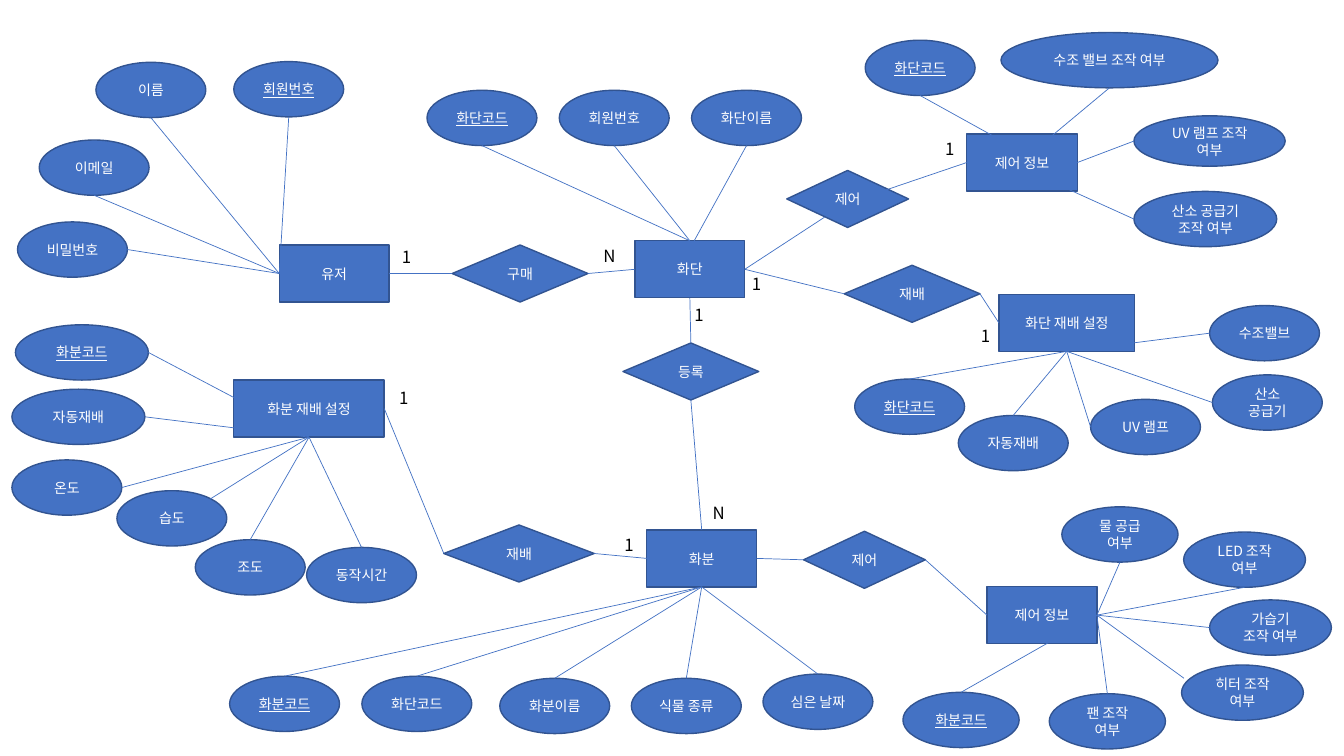
from dataclasses import dataclass

from lxml import etree
from pptx import Presentation
from pptx.dml.color import RGBColor
from pptx.enum import shapes, text
from pptx.oxml import ns
from pptx.util import Pt

COLORS = {"fill": "4472C4", "border": "325491", "label": "FFFFFF", "count": "000000"}
FONT = "Noto Sans CJK KR"
TOP, LEFT, BOTTOM, RIGHT = range(4)
SIDE_POINTS = {TOP: (0.5, 0), LEFT: (0, 0.5), BOTTOM: (0.5, 1), RIGHT: (1, 0.5)}
ENTITY_HEIGHT = 40.75


@dataclass
class Attribute:
    """An oval offset from its entity; ends are sides or fractions of width and height."""
    label: str
    dx: float
    dy: float
    oval_end: object
    entity_end: object
    width: float = 78.5
    height: float = 39.5
    is_key: bool = False


# name: (label, left, top, width, attributes)
ENTITIES = {
    "user": ("유저", 199.5, 175, 78.5, [
        Attribute("이메일", -171.5, -75, BOTTOM, LEFT),
        Attribute("이름", -131, -130.5, BOTTOM, LEFT),
        Attribute("비밀번호", -187, -16.5, RIGHT, LEFT),
        Attribute("회원번호", -32.5, -131, BOTTOM, LEFT, is_key=True),
    ]),
    "bed": ("화단", 453.5, 172, 78.5, [
        Attribute("화단코드", -148.5, -107.5, BOTTOM, TOP, is_key=True),
        Attribute("회원번호", -54, -107.5, BOTTOM, TOP),
        Attribute("화단이름", 40.5, -107.5, BOTTOM, (0.54, 0)),
    ]),
    "pot": ("화분", 462, 378.5, 78.5, [
        Attribute("화분코드", -298, 104.5, TOP, BOTTOM, is_key=True),
        Attribute("화단코드", -203.5, 104.5, TOP, BOTTOM),
        Attribute("화분이름", -105, 106, TOP, BOTTOM),
        Attribute("식물 종류", -11, 106, TOP, BOTTOM),
        Attribute("심은 날짜", 83, 103, TOP, BOTTOM),
    ]),
    "pot_growing": ("화분 재배 설정", 167, 271.5, 107.5, [
        Attribute("동작시간", 52, 119.5, TOP, BOTTOM),
        Attribute("조도", -27.5, 114, TOP, BOTTOM),
        Attribute("습도", -83.5, 79, (0.85, 0.15), BOTTOM),
        Attribute("화분코드", -156, -39.5, RIGHT, BOTTOM, width=95, is_key=True),
        Attribute("온도", -158.5, 57, RIGHT, BOTTOM),
        Attribute("자동재배", -158.5, 6.5, RIGHT, BOTTOM, width=95),
    ]),
    "bed_growing": ("화단 재배 설정", 713.5, 210.25, 97, [
        Attribute("자동재배", -29, 86.5, TOP, BOTTOM),
        Attribute("화단코드", -103, 60.5, TOP, BOTTOM, is_key=True),
        Attribute("수조밸브", 150.5, 8, LEFT, BOTTOM),
        Attribute("산소 공급기", 152.5, 57.5, LEFT, BOTTOM),
        Attribute("UV 램프", 65.5, 75, LEFT, BOTTOM),
    ]),
    "pot_control": ("제어 정보", 705, 419, 78.5, [
        Attribute("LED 조작 여부", 140.5, -39, BOTTOM, RIGHT, width=87),
        Attribute("가습기 조작 여부", 159, 9.5, LEFT, RIGHT, width=87),
        Attribute("히터 조작 여부", 139, 56, (0.02, 0.24), RIGHT, width=87),
        Attribute("팬 조작 여부", 44.5, 76.5, TOP, RIGHT, width=83),
        Attribute("화분코드", -60, 75.5, TOP, RIGHT, width=83, is_key=True),
        Attribute("물 공급 여부", 53.5, -57, BOTTOM, RIGHT, width=83),
    ]),
    "bed_control": ("제어 정보", 690.5, 95.75, 79, [
        Attribute("화단코드", -72.5, -67, BOTTOM, (0.31, 0.11), is_key=True),
        Attribute("수조 밸브 조작 여부", 24.5, -72.5, BOTTOM, (0.66, 0.21), width=155),
        Attribute("UV 램프 조작 여부", 119.5, -13, LEFT, RIGHT, width=108, height=36),
        Attribute("산소 공급기 조작 여부", 119.5, 41, LEFT, (0.75, 0.82), width=102),
    ]),
}

# label, left, top, width, links (diamond end, entity, entity end), counts (text, dx, dy)
RELATIONS = [
    ("구매", 323, 175, 97, [(LEFT, "user", RIGHT), (RIGHT, "bed", LEFT)],
     [("1", -43, -2), ("N", 101, -3)]),
    ("등록", 445, 245, 97, [(TOP, "bed", BOTTOM), (BOTTOM, "pot", TOP)],
     [("1", 44, -31), ("N", 57, 110.5)]),
    ("재배", 317, 375, 107.5, [(RIGHT, "pot", LEFT), (LEFT, "pot_growing", RIGHT)],
     [("1", 122, 3.5), ("1", -39, -101.5)]),
    ("재배", 603, 189.5, 97, [(LEFT, "bed", RIGHT), (RIGHT, "bed_growing", LEFT)],
     [("1", -73, 2.5), ("1", 90.5, 40)]),
    ("제어", 574, 379.5, 87, [(LEFT, "pot", RIGHT), (RIGHT, "pot_control", LEFT)], []),
    ("제어", 562, 121.75, 87,
     [((0.31, 0.82), "bed", RIGHT), ((0.79, 0.36), "bed_control", LEFT)],
     [("1", 106, -26)]),
]


def write_text(shape, words, size, color, underline=None):
    run = shape.text_frame.paragraphs[0].add_run()
    run.text = words
    formats = {"name": FONT, "size": Pt(size), "underline": underline}
    for name, value in formats.items():
        setattr(run.font, name, value)
    run.font.color.rgb = RGBColor.from_string(COLORS[color])
    east_asian = etree.SubElement(run.font._element, ns.qn("a:ea"))
    east_asian.set("typeface", FONT)


def add_node(slide, kind, box, label, underline=None):
    shape = slide.shapes.add_shape(kind, *map(Pt, box))
    shape.shadow.inherit = False
    shape.fill.solid()
    shape.fill.fore_color.rgb = RGBColor.from_string(COLORS["fill"])
    shape.line.color.rgb = RGBColor.from_string(COLORS["border"])
    shape.line.width = Pt(1)
    frame = shape.text_frame
    frame.word_wrap = True
    frame.vertical_anchor = text.MSO_ANCHOR.MIDDLE
    frame.paragraphs[0].alignment = text.PP_ALIGN.CENTER
    write_text(shape, label, 10, "label", underline)
    return shape


def end_point(shape, end):
    x, y = SIDE_POINTS[end] if isinstance(end, int) else end
    return int(shape.left + x * shape.width), int(shape.top + y * shape.height)


def link(slide, start, start_end, entity, entity_end):
    """Draw a line to an entity, joined wherever it meets the middle of a side."""
    line = slide.shapes.add_connector(
        shapes.MSO_CONNECTOR.STRAIGHT,
        *end_point(start, start_end), *end_point(entity, entity_end))
    line.line.color.rgb = RGBColor.from_string(COLORS["fill"])
    line.line.width = Pt(0.5)
    etree.SubElement(line._element.spPr, ns.qn("a:effectLst"))
    is_oval = start.auto_shape_type == shapes.MSO_SHAPE.OVAL
    if isinstance(start_end, int) and not is_oval:
        line.begin_connect(start, start_end)
    if isinstance(entity_end, int):
        line.end_connect(entity, entity_end)


def add_entity(slide, label, left, top, width, attributes):
    entity = add_node(slide, shapes.MSO_SHAPE.RECTANGLE,
                      (left, top, width, ENTITY_HEIGHT), label)
    for attribute in attributes:
        box = (left + attribute.dx, top + attribute.dy, attribute.width, attribute.height)
        oval = add_node(slide, shapes.MSO_SHAPE.OVAL, box, attribute.label,
                        attribute.is_key or None)
        link(slide, oval, attribute.oval_end, entity, attribute.entity_end)
    return entity


def add_relation(slide, entities, label, left, top, width, links, counts):
    diamond = add_node(slide, shapes.MSO_SHAPE.DIAMOND,
                       (left, top, width, ENTITY_HEIGHT), label)
    for diamond_end, name, entity_end in links:
        link(slide, diamond, diamond_end, entities[name], entity_end)
    for count, dx, dy in counts:
        box = (left + dx, top + dy, 21.5 if count == "N" else 19.5, 21.5)
        count_box = slide.shapes.add_textbox(*map(Pt, box))
        count_box.text_frame.word_wrap = False
        write_text(count_box, count, 12, "count")


def main():
    presentation = Presentation()
    presentation.slide_width, presentation.slide_height = Pt(960), Pt(540)
    slide = presentation.slides.add_slide(presentation.slide_layouts[6])
    entities = {name: add_entity(slide, *entity) for name, entity in ENTITIES.items()}
    for relation in RELATIONS:
        add_relation(slide, entities, *relation)
    presentation.save("out.pptx")


if __name__ == "__main__":
    main()
